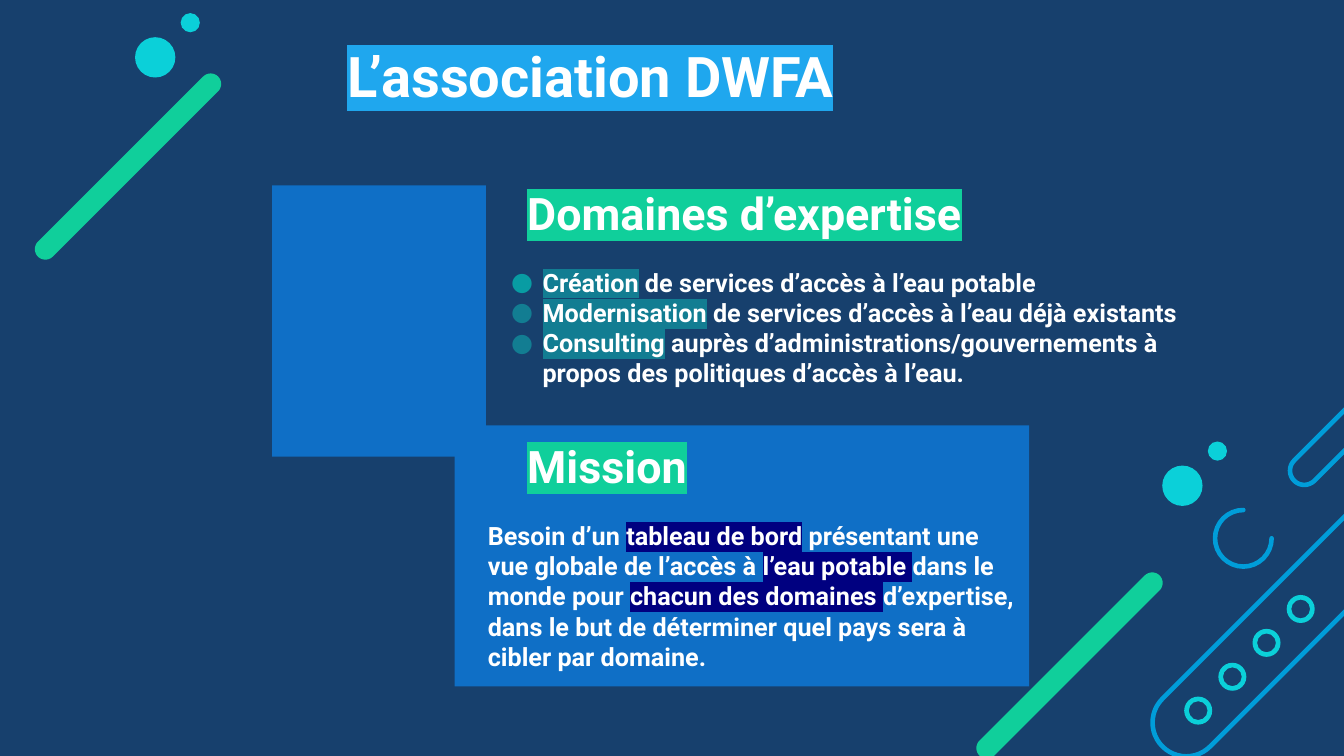
from math import cos, radians, sin

from pptx import Presentation
from pptx import util as u
from pptx.dml.color import RGBColor
from pptx.enum import shapes, text
from pptx.oxml.ns import qn
from lxml import etree

THEME = {
    "background": "17406D", "panel": "0F6FC6", "text": "FFFFFF",
    "green": "10CF9B", "cyan": "0BD0D9", "outline": "009DD9",
    "title": "1FA7EE", "teal": "127D92", "bullet": "089CA3", "navy": "000080",
    "font": "Roboto", "title_size": 40, "heading_size": 32, "body_size": 18,
    "inset": 9.36, "stroke": 3.3,
}

HEADINGS = [
    ("L’association DWFA", (176.4, 20.2, 428.4, 41.8), "title_size", "title", text.PP_ALIGN.RIGHT),
    ("Domaines d’expertise", (367.2, 123.1, 416.9, 51.1), "heading_size", "green", text.PP_ALIGN.LEFT),
    ("Mission", (367.2, 303.8, 183.6, 51.1), "heading_size", "green", text.PP_ALIGN.LEFT),
]
EXPERTISE = [
    ("bullet", [("Création", "teal"), (" de services d’accès à l’eau potable", None)]),
    ("teal", [("Modernisation", "teal"), (" de services d’accès à l’eau déjà existants", None)]),
    ("teal", [("Consulting", "teal"),
              (" auprès d’administrations/gouvernements à propos des politiques d’accès à l’eau.", None)]),
]
MISSION = [
    ("Besoin d’un ", None), ("tableau de bord", "navy"),
    (" présentant une vue globale de l’accès à ", None), ("l’eau potable ", "navy"),
    ("dans le monde pour ", None), ("chacun des domaines ", "navy"),
    ("d’expertise, dans le but de déterminer quel pays sera à cibler par domaine.", None),
]
EXPERTISE_BOX = (355.7, 181.4, 510.5, 103)
MISSION_BOX = (324.7, 362.2, 410.4, 97.2)
PANELS = [(324.7, 303.8, 410.4, 186.5), (194.4, 132.5, 152.7, 193.7)]

BAR_TOP, BAR_BOTTOM, BAR_RADIUS = (150.5, 60), (32.4, 178), 7.5
BAR_SHIFTS = [(672.5, 356.4), (0, 0)]
DOTS = [(110.9, 41, 28.8), (135.9, 16.2, 13.7)]
DOT_SHIFTS = [(733.7, 306), (0, 0)]
LOOPS = [(847.4, 516.2, 24.1), (931.7, 336.2, 10.2)]
LOOP_END = 972
OPEN_CIRCLE = (888.1, 384.5, 20.2)
RING_START, RING_STEP, RING_SIZE, RING_COUNT = (855.9, 507.6), (24.4, -24.2), 20, 4


def color(name):
    return RGBColor.from_string(THEME[name])


def arc(x, y, radius, start, end, steps=24):
    angles = [radians(start + (end - start) * i / steps) for i in range(steps + 1)]
    return [(x + radius * cos(a), y + radius * sin(a)) for a in angles]


def paint(shape, fill):
    shape.shadow.inherit = False
    shape.fill.solid()
    shape.fill.fore_color.rgb = color(fill)
    shape.line.fill.background()


def add_preset(slide, kind, box, fill):
    shape = slide.shapes.add_shape(kind, *map(u.Pt, box))
    paint(shape, fill)
    return shape


def add_path(slide, points, closed):
    corners = [(u.Pt(x), u.Pt(y)) for x, y in points]
    builder = slide.shapes.build_freeform(*corners[0])
    builder.add_line_segments(corners[1:], close=closed)
    return builder.convert_to_shape()


def add_stroke(slide, points):
    shape = add_path(slide, points, False)
    shape.shadow.inherit = False
    shape.fill.background()
    shape.line.color.rgb = color("outline")
    shape.line.width = u.Pt(THEME["stroke"])
    line = shape.line._get_or_add_ln()
    line.set("cap", "rnd")
    etree.SubElement(line, qn("a:round"))


def add_frame(slide, box):
    frame = slide.shapes.add_textbox(*map(u.Pt, box)).text_frame
    frame.word_wrap = True
    frame.vertical_anchor = text.MSO_ANCHOR.TOP
    inset = u.Pt(THEME["inset"])
    frame.margin_left = frame.margin_right = frame.margin_top = frame.margin_bottom = inset
    return frame


def add_runs(paragraph, runs, size):
    for words, highlight in runs:
        run = paragraph.add_run()
        run.text = words
        font = run.font
        font.name, font.size, font.bold = THEME["font"], u.Pt(THEME[size]), True
        font.color.rgb = color("text")
        if highlight:
            mark = etree.Element(qn("a:highlight"))
            etree.SubElement(mark, qn("a:srgbClr"), val=THEME[highlight])
            run._r.get_or_add_rPr().find(qn("a:solidFill")).addnext(mark)


def set_indent(paragraph, left, first):
    properties = paragraph._p.get_or_add_pPr()
    properties.set("marL", str(u.Pt(left)))
    properties.set("indent", str(u.Pt(first)))
    return properties


def add_bullet(paragraph, bullet_color):
    properties = set_indent(paragraph, 22.5, -22.5)
    tint = etree.SubElement(properties, qn("a:buClr"))
    etree.SubElement(tint, qn("a:srgbClr"), val=THEME[bullet_color])
    etree.SubElement(properties, qn("a:buFont"), typeface=THEME["font"])
    etree.SubElement(properties, qn("a:buChar"), char="●")


def draw_decoration(slide):
    for x, y, radius in LOOPS:
        cap = arc(x, y, radius, 225, 45)
        ends = [(LOOP_END, py - (LOOP_END - px)) for px, py in (cap[0], cap[-1])]
        add_stroke(slide, [ends[0], *cap, ends[1]])
    add_stroke(slide, arc(*OPEN_CIRCLE, 270, 0))
    for dx, dy in BAR_SHIFTS:
        outline = arc(*BAR_TOP, BAR_RADIUS, -135, 45) + arc(*BAR_BOTTOM, BAR_RADIUS, 45, 225)
        paint(add_path(slide, [(x + dx, y + dy) for x, y in outline], True), "green")
    for i in range(RING_COUNT):
        left, top = [start + i * step - RING_SIZE / 2 for start, step in zip(RING_START, RING_STEP)]
        ring = add_preset(slide, shapes.MSO_SHAPE.DONUT, (left, top, RING_SIZE, RING_SIZE), "cyan")
        ring.adjustments[0] = THEME["stroke"] / RING_SIZE
    for dx, dy in DOT_SHIFTS:
        for x, y, size in DOTS:
            box = (x + dx - size / 2, y + dy - size / 2, size, size)
            add_preset(slide, shapes.MSO_SHAPE.OVAL, box, "cyan")


def main():
    presentation = Presentation()
    presentation.slide_width, presentation.slide_height = u.Pt(960), u.Pt(540)
    slide = presentation.slides.add_slide(presentation.slide_layouts[6])
    slide.background.fill.solid()
    slide.background.fill.fore_color.rgb = color("background")

    draw_decoration(slide)
    for box in PANELS:
        add_preset(slide, shapes.MSO_SHAPE.RECTANGLE, box, "panel")

    expertise = add_frame(slide, EXPERTISE_BOX)
    for i, (bullet_color, runs) in enumerate(EXPERTISE):
        paragraph = expertise.add_paragraph() if i else expertise.paragraphs[0]
        add_bullet(paragraph, bullet_color)
        add_runs(paragraph, runs, "body_size")

    mission = add_frame(slide, MISSION_BOX).paragraphs[0]
    set_indent(mission, 14.4, 0)
    add_runs(mission, MISSION, "body_size")

    for words, box, size, highlight, alignment in HEADINGS:
        paragraph = add_frame(slide, box).paragraphs[0]
        paragraph.alignment = alignment
        add_runs(paragraph, [(words, highlight)], size)

    presentation.save("out.pptx")


if __name__ == "__main__":
    main()
